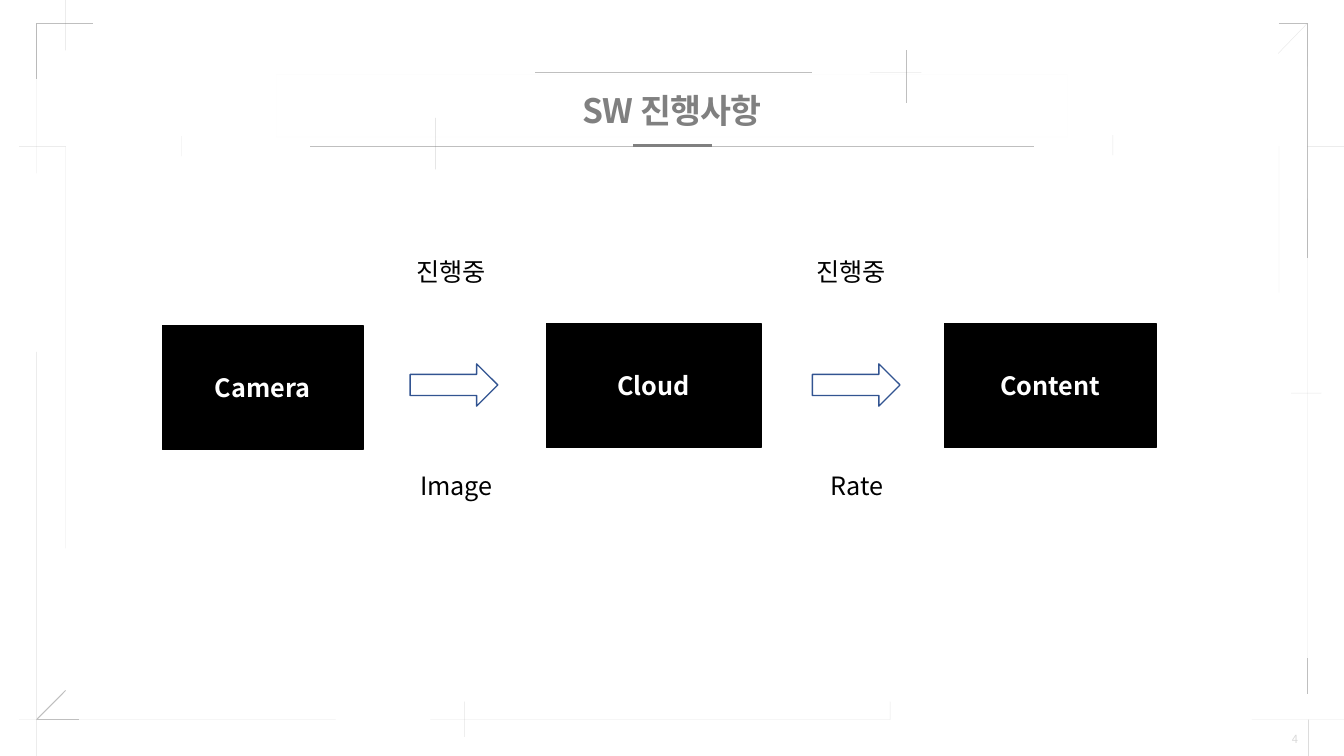
from dataclasses import dataclass

from lxml.etree import SubElement
from pptx import Presentation
from pptx.dml.color import RGBColor as Rgb
from pptx.enum.shapes import MSO_CONNECTOR as Conn, MSO_SHAPE as Kind
from pptx.enum.text import MSO_ANCHOR as Anchor, MSO_AUTO_SIZE as Fit, PP_ALIGN as Align
from pptx.oxml.ns import qn
from pptx.util import Pt

FACE = "Noto Sans CJK KR"
GREY, PALE, FAINT = "808080", "BFBFBF", "D9D9D9"
BLACK, WHITE, BLUE = "000000", "FFFFFF", "325491"
WIDE, HIGH = 960, 540
LEFT, INNER, RIGHT, EDGE = 26.1, 46.8, 933.8, 913.6
TOP, BAND, BASE = 16.7, 104.4, 514.1


@dataclass
class Rule:
    x1: float
    y1: float
    x2: float
    y2: float
    alpha: int = 100
    color: str = GREY
    width: float = 0.25


@dataclass
class Box:
    text: str
    x: float
    y: float
    w: float
    h: float


def solid(x1: float, y1: float, x2: float, y2: float) -> Rule:
    return Rule(x1, y1, x2, y2, color=PALE, width=0.75)


RULES = [
    # Top corners
    solid(EDGE, TOP, RIGHT, TOP),
    solid(RIGHT, TOP, RIGHT, 184.3),
    Rule(RIGHT, TOP, 913, 38.2, 20),
    Rule(RIGHT, TOP, RIGHT, 47.5, 15),
    solid(66.2, TOP, LEFT, TOP),
    solid(LEFT, 56.2, LEFT, TOP),
    Rule(LEFT, TOP, LEFT, 123.8, 20),
    Rule(INNER, 0, INNER, 36, 41),
    # Sides
    Rule(LEFT, 251.3, LEFT, HIGH, 41),
    Rule(INNER, BAND, INNER, 391.7, 20),
    Rule(EDGE, BAND, EDGE, 208.8, 20),
    Rule(RIGHT, 141.8, RIGHT, 482.4, 20),
    solid(RIGHT, 470.2, RIGHT, 495.4),
    Rule(943.9, 280.8, 922.3, 280.8, 20),
    # Band under the title
    Rule(13.7, BAND, INNER, BAND, 41),
    Rule(RIGHT, BAND, WIDE, BAND, 41),
    solid(221.8, BAND, 738.7, BAND),
    Rule(129.6, 97.2, 129.6, 111.6, 20),
    Rule(794.9, 96.5, 794.9, 110.9, 20),
    # Foot
    Rule(13.7, BASE, 239.8, BASE, 20),
    Rule(307.4, BASE, 635.8, BASE, 20),
    Rule(894.2, BASE, WIDE, BASE, 20),
    Rule(331.9, 501.1, 331.9, 526.3, 20),
    Rule(635.8, 501.1, 635.8, BASE, 20),
    Rule(934.6, BASE, 934.6, HIGH, 41),
    solid(INNER, 493.2, LEFT, BASE),
    solid(LEFT, BASE, 56.2, BASE),
    # Title marks
    solid(382.3, 51.8, 580.3, 51.8),
    Rule(311, 84.2, 311, 121, 30),
    solid(647.3, 36, 647.3, 73.4),
    Rule(658.1, 51.8, 621.4, 51.8, 30),
    Rule(452.2, 103.7, 508.3, 103.7, width=2),
]
BLOCKS = [
    Box("Camera", 115.9, 232.6, 143.3, 88.6),
    Box("Cloud", 390.2, 231.1, 153.4, 88.6),
    Box("Content", 674.6, 231.1, 151.2, 88.6),
]
ARROWS = [Box("", x, 259.9, 62.6, 30.2) for x in (293, 580.3)]
LABELS = [
    Box("진행중", 290.2, 179.3, 72, 28.8),
    Box("진행중", 576, 179.3, 72, 28.8),
    Box("Image", 293, 332.6, 70.6, 28.8),
    Box("Rate", 586.1, 332.6, 56.9, 28.8),
]
TITLE = Box("SW 진행사항", 197.3, 53.3, 565.2, 44.6)
PAGE = Box("4", 904.3, 519.1, 23, 15.8)
TIGHT = dict.fromkeys(("margin_left", "margin_top", "margin_right", "margin_bottom"), 0)
MIDDLE = {"vertical_anchor": Anchor.MIDDLE}


def apply(item: object, form: dict) -> None:
    for key, value in form.items():
        setattr(item, key, value)


def paint(part: object, color: str) -> None:
    """Colour a fill, or the fill of a line or font."""
    part.solid()
    part.fore_color.rgb = Rgb.from_string(color)


def stroke(shape, color: str, width: float, alpha: int = 100) -> None:
    paint(shape.line.fill, color)
    shape.line.width = Pt(width)
    if alpha < 100:
        tone = shape._element.xpath(".//a:ln//a:srgbClr")[0]
        SubElement(tone, qn("a:alpha")).set("val", str(alpha * 1000))


def spot(box: Box) -> list:
    return [Pt(v) for v in (box.x, box.y, box.w, box.h)]


def write(shape, text: str, color: str, frame: dict, para: dict, font: dict,
          gap: int = 0) -> None:
    """Fill a shape with one formatted paragraph."""
    body = shape.text_frame
    apply(body, {"word_wrap": True, "auto_size": Fit.NONE, **frame})
    line = body.paragraphs[0]
    apply(line, para)
    run = line.add_run()
    run.text = text
    apply(run.font, {"name": FACE, **font})
    paint(run.font.fill, color)
    props = run._r.get_or_add_rPr()
    SubElement(props, qn("a:ea")).set("typeface", FACE)
    if gap:
        props.set("spc", str(gap))


def draw_rule(slide, rule: Rule) -> None:
    ends = [Pt(v) for v in (rule.x1, rule.y1, rule.x2, rule.y2)]
    line = slide.shapes.add_connector(Conn.STRAIGHT, *ends)
    stroke(line, rule.color, rule.width, rule.alpha)
    SubElement(line._element.spPr, qn("a:effectLst"))


def draw_shape(slide, kind: Kind, box: Box, fill: str, edge: str):
    shape = slide.shapes.add_shape(kind, *spot(box))
    shape.shadow.inherit = False
    paint(shape.fill, fill)
    stroke(shape, edge, 1)
    return shape


def main() -> None:
    deck = Presentation()
    apply(deck, {"slide_width": Pt(WIDE), "slide_height": Pt(HIGH)})
    slide = deck.slides.add_slide(deck.slide_layouts[5])

    for rule in RULES:
        draw_rule(slide, rule)

    title = slide.shapes.title
    apply(title, dict(zip(("left", "top", "width", "height"), spot(TITLE))))
    stroke(title, FAINT, 0.25, 5)
    write(title, TITLE.text, GREY, {**TIGHT, **MIDDLE},
          {"alignment": Align.CENTER, "line_spacing": 1.2},
          {"size": Pt(24), "bold": True}, -60)

    page = slide.shapes.add_textbox(*spot(PAGE))
    write(page, PAGE.text, FAINT, {**TIGHT, **MIDDLE},
          {"alignment": Align.RIGHT, "line_spacing": 1.2}, {"size": Pt(8)}, -60)

    for box in LABELS:
        label = slide.shapes.add_textbox(*spot(box))
        write(label, box.text, BLACK, {}, {}, {"size": Pt(18)})
    for box in BLOCKS:
        block = draw_shape(slide, Kind.RECTANGLE, box, BLACK, BLACK)
        write(block, box.text, WHITE, MIDDLE, {"alignment": Align.CENTER},
              {"size": Pt(18), "bold": True})
    for box in ARROWS:
        draw_shape(slide, Kind.RIGHT_ARROW, box, WHITE, BLUE)

    deck.save("out.pptx")


if __name__ == "__main__":
    main()
